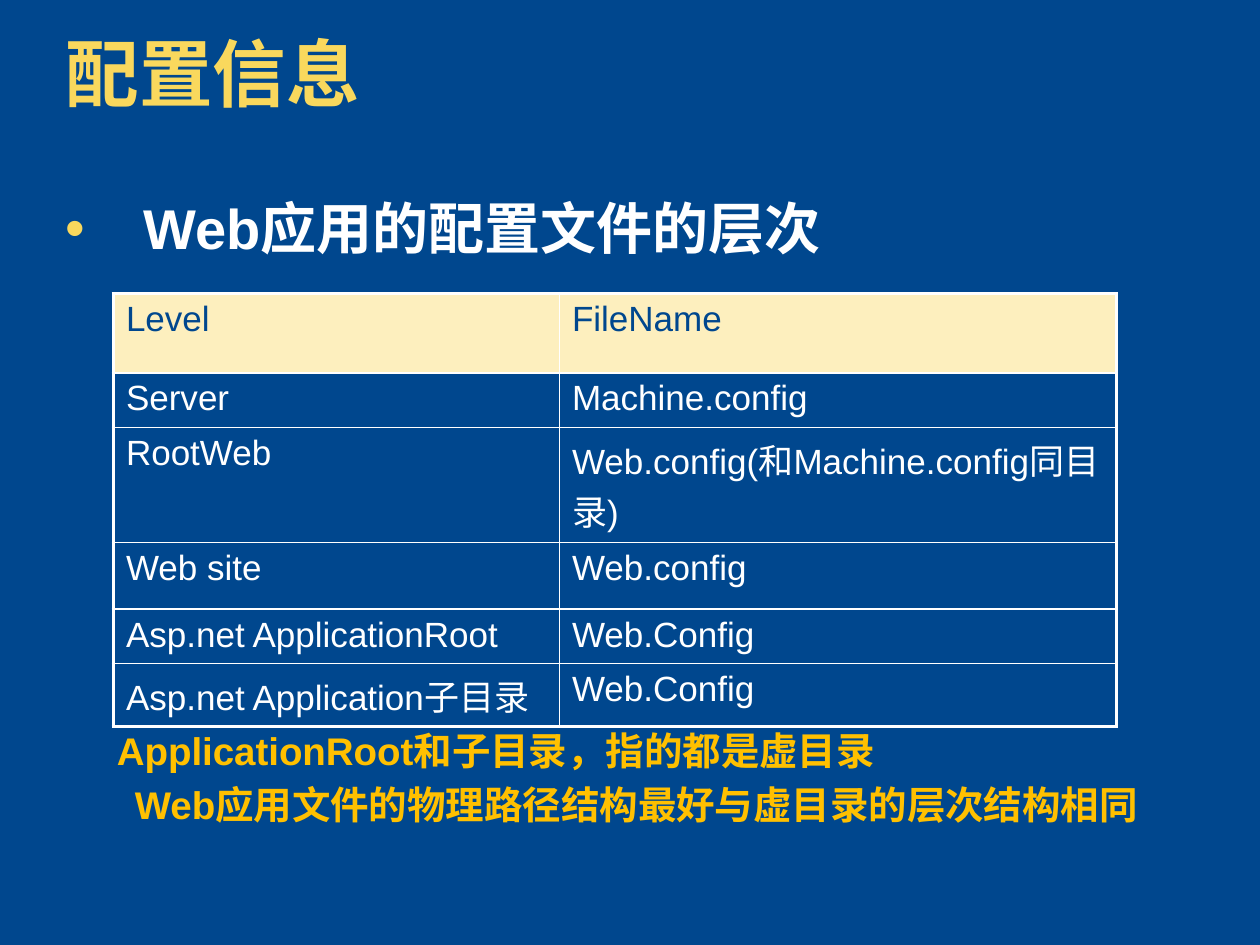
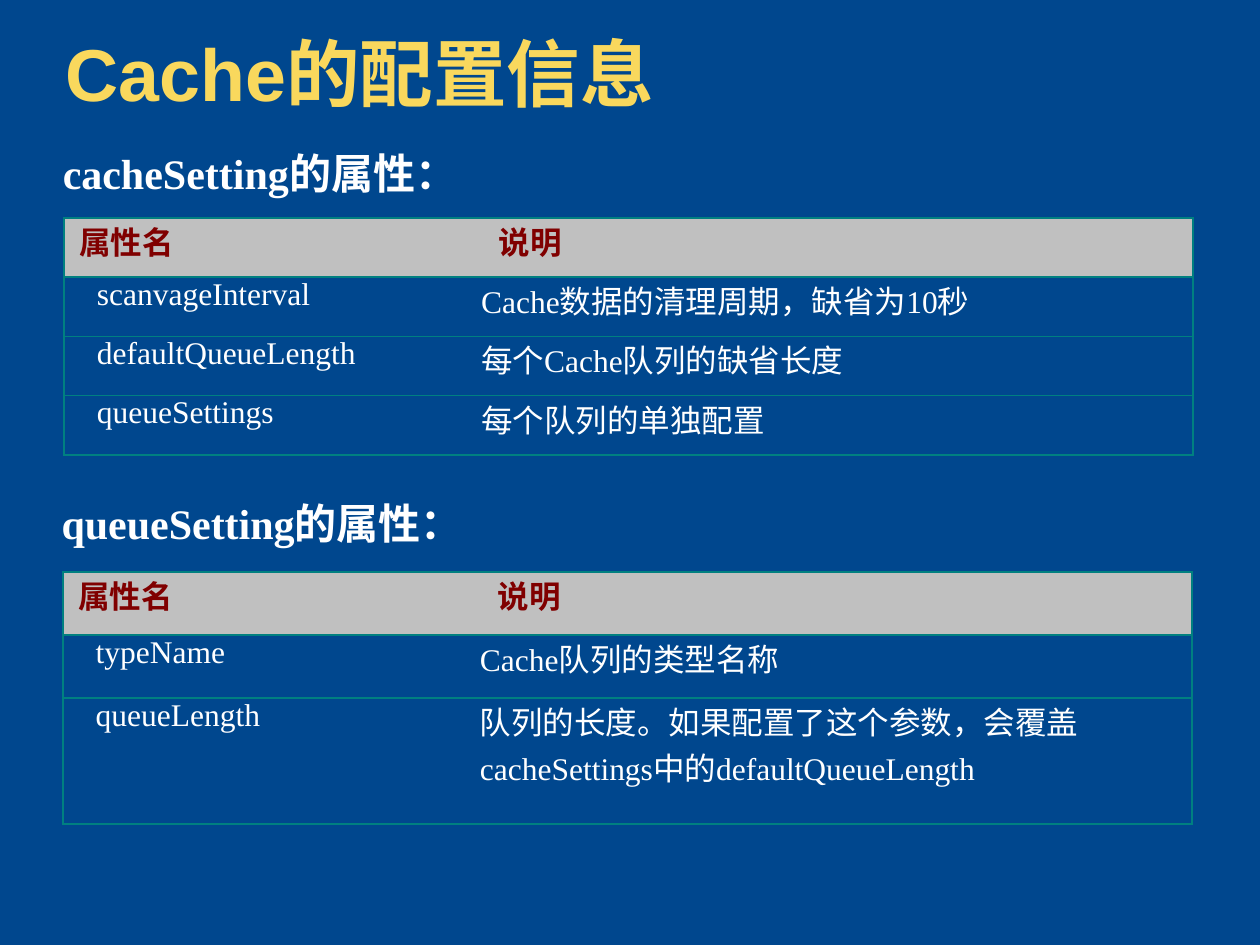
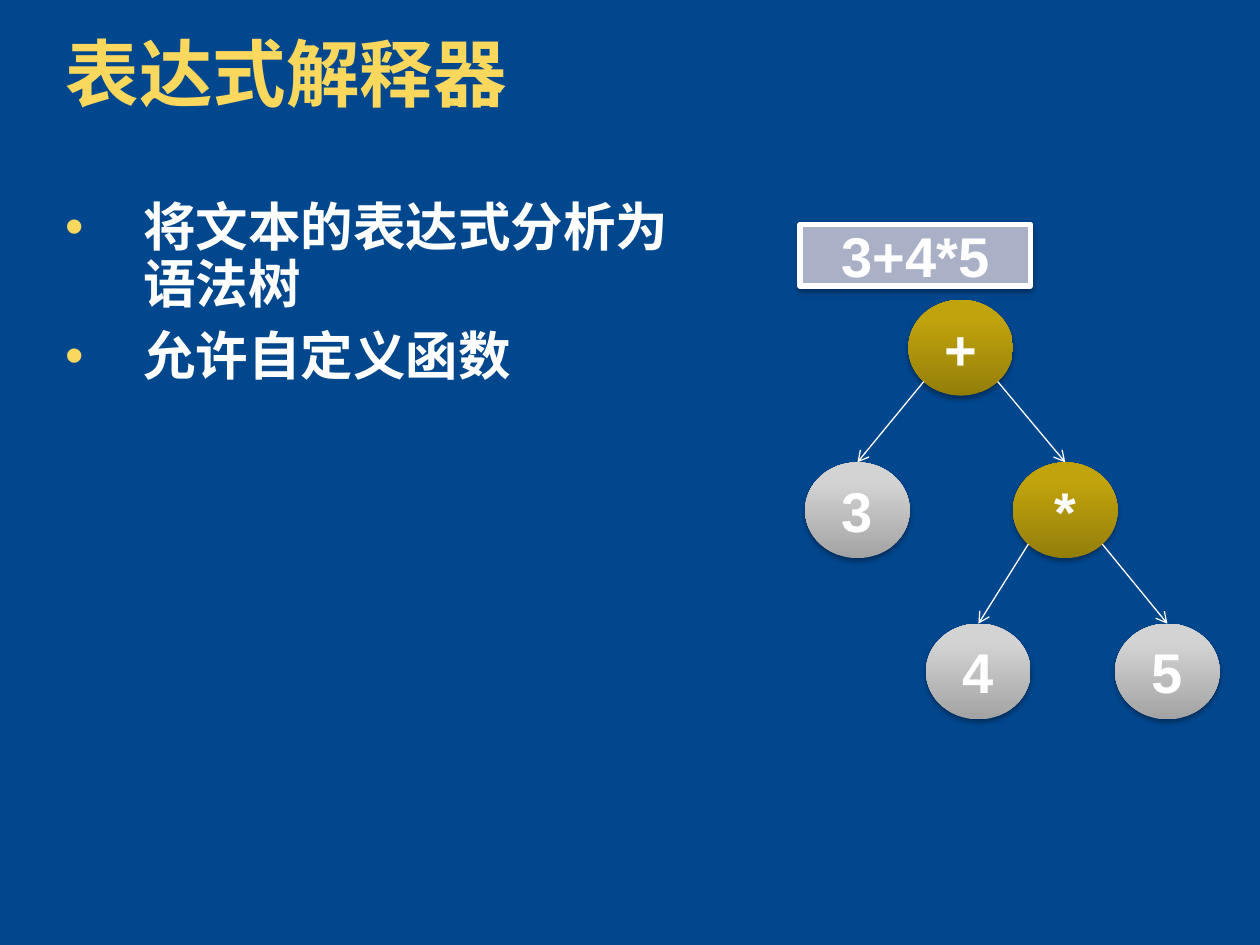
import math

import lxml.etree
import pptx
import pptx.dml.color
import pptx.enum.shapes
import pptx.enum.text
import pptx.oxml.ns
import pptx.util

Inches = pptx.util.Inches
Pt = pptx.util.Pt
qn = pptx.oxml.ns.qn
ALIGN = pptx.enum.text.PP_ALIGN
ANCHOR = pptx.enum.text.MSO_ANCHOR
SHAPE = pptx.enum.shapes.MSO_SHAPE

NAVY = "00478E"
YELLOW = "F9D85D"
WHITE = "FFFFFF"
CREAM = "FDEFBE"
AMBER = "FFC000"
TEAL = "008080"
SILVER = "C0C0C0"
MAROON = "800000"
GREY_BLUE = "AAB1C6"
OPERATOR = ("947E0A", "C0A30D")
OPERAND = ("A3A3A3", "D3D3D3")

SANS = "Arial"
SERIF = "Times New Roman"
NODE_WIDTH, NODE_HEIGHT = 0.83, 0.76


def rgb(value):
    return pptx.dml.color.RGBColor.from_string(value)


def add_xml(parent, tag, **attributes):
    return lxml.etree.SubElement(parent, qn(tag), attributes)


def format_paragraph(paragraph, size, color, bold=False, font=SANS, align=ALIGN.LEFT):
    paragraph.alignment = align
    for run in paragraph.runs:
        run.font.name = font
        run.font.size = Pt(size)
        run.font.bold = bold
        run.font.color.rgb = rgb(color)


def set_indent(paragraph, left, first):
    properties = paragraph._p.get_or_add_pPr()
    properties.set("marL", str(Inches(left)))
    properties.set("indent", str(Inches(first)))
    return properties


def add_titled_slide(deck, heading):
    slide = deck.slides.add_slide(deck.slide_layouts[5])
    title = slide.shapes.title
    title.left, title.top = Inches(0.42), Inches(0.25)
    title.width, title.height = Inches(8.21), Inches(0.74)
    frame = title.text_frame
    frame.text = heading
    frame.vertical_anchor = ANCHOR.TOP
    frame.auto_size = pptx.enum.text.MSO_AUTO_SIZE.NONE
    frame.paragraphs[0].line_spacing = 0.9
    format_paragraph(frame.paragraphs[0], 42, YELLOW, True)
    return slide


def add_text(slide, left, top, width, height, lines):
    frame = slide.shapes.add_textbox(
        Inches(left), Inches(top), Inches(width), Inches(height)).text_frame
    frame.word_wrap = True
    frame.text = "\n".join(lines)
    return frame


def add_bullets(slide, width, height, size, lines):
    frame = add_text(slide, 0.42, 1.55, width, height, lines)
    for index, paragraph in enumerate(frame.paragraphs):
        format_paragraph(paragraph, size, WHITE, True)
        paragraph.line_spacing = 0.9
        paragraph.space_before = Pt(9 if index else 0)
        properties = set_indent(paragraph, 0.62, -0.62)
        add_xml(add_xml(properties, "a:buClr"), "a:srgbClr", val=YELLOW)
        add_xml(properties, "a:buFont", typeface=SANS)
        add_xml(properties, "a:buChar", char="•")


def add_section_label(slide, left, top, text):
    frame = add_text(slide, left, top, 3.4, 0.5, [text])
    frame.vertical_anchor = ANCHOR.MIDDLE
    format_paragraph(frame.paragraphs[0], 24, WHITE, True, SERIF)


def set_border(cell, side, color, width):
    line = add_xml(cell._tc.get_or_add_tcPr(), "a:ln" + side, w=str(Pt(width)))
    if width:
        add_xml(add_xml(line, "a:solidFill"), "a:srgbClr", val=color)
    else:
        add_xml(line, "a:noFill")


def add_grid(slide, left, top, widths, heights, rows, header_fill, line_color,
             side_width, edge_width, divider_width, format_cell):
    table = slide.shapes.add_table(
        len(rows), len(widths), Inches(left), Inches(top),
        Inches(sum(widths)), Inches(sum(heights))).table
    table.first_row = False
    table.horz_banding = False
    for column, width in zip(table.columns, widths):
        column.width = Inches(width)
    for row, height in zip(table.rows, heights):
        row.height = Inches(height)
    last_row, last_column = len(rows) - 1, len(widths) - 1
    for r, texts in enumerate(rows):
        for c, text in enumerate(texts):
            cell = table.cell(r, c)
            cell.text = text
            format_cell(cell, r, c)
            set_border(cell, "L", line_color, side_width if c == 0 else divider_width)
            set_border(cell, "R", line_color, side_width if c == last_column else divider_width)
            set_border(cell, "T", line_color, edge_width if r == 0 else 1)
            set_border(cell, "B", line_color, edge_width if r == last_row else 1)
            if r == 0:
                cell.fill.solid()
                cell.fill.fore_color.rgb = rgb(header_fill)
            else:
                cell.fill.background()


def format_level_cell(cell, row, column):
    format_paragraph(cell.text_frame.paragraphs[0], 20, WHITE if row else NAVY)


def format_attribute_cell(cell, row, column):
    cell.margin_left = cell.margin_right = Inches(0.07)
    cell.margin_top = cell.margin_bottom = 0
    paragraph = cell.text_frame.paragraphs[0]
    align = ALIGN.LEFT if column else ALIGN.JUSTIFY
    format_paragraph(paragraph, 18, WHITE if row else MAROON, row == 0, SERIF, align)
    indented = (row == 0) == (column == 1)
    set_indent(paragraph, 0 if column else 0.05, 0.14 if indented else 0)


def add_attribute_table(slide, left, top, heights, attributes):
    add_grid(slide, left, top, [3.24, 5.72], heights, [("属性名", "说明")] + attributes,
             SILVER, TEAL, 1, 1.5, 0, format_attribute_cell)


def add_shadowed_shape(slide, preset, left, top, width, height, text):
    shape = slide.shapes.add_shape(
        preset, Inches(left), Inches(top), Inches(width), Inches(height))
    shape.shadow.inherit = False
    effects = shape._element.spPr.find(qn("a:effectLst"))
    shadow = add_xml(effects, "a:outerShdw", blurRad=str(Pt(3.1)), dist=str(Pt(1.8)),
                     dir="5400000", rotWithShape="0")
    add_xml(add_xml(shadow, "a:srgbClr", val="000000"), "a:alpha", val="35000")
    frame = shape.text_frame
    frame.text = text
    frame.word_wrap = False
    frame.vertical_anchor = ANCHOR.MIDDLE
    format_paragraph(frame.paragraphs[0], 32, WHITE, True, align=ALIGN.CENTER)
    return shape


def add_node(slide, left, top, text, shades):
    node = add_shadowed_shape(slide, SHAPE.FLOWCHART_CONNECTOR, left, top,
                              NODE_WIDTH, NODE_HEIGHT, text)
    node.line.fill.background()
    node.fill.gradient()
    node.fill.gradient_angle = 90
    for stop, shade, position in zip(node.fill.gradient_stops, shades, (0, 0.8)):
        stop.color.rgb = rgb(shade)
        stop.position = position


def add_branch(slide, parent, child):
    reach = math.sqrt(0.5) / 2
    side = 1 if child[0] > parent[0] else -1
    start_x = parent[0] + NODE_WIDTH * (0.5 + side * reach)
    start_y = parent[1] + NODE_HEIGHT * (0.5 + reach)
    branch = slide.shapes.add_connector(
        pptx.enum.shapes.MSO_CONNECTOR.STRAIGHT, Inches(start_x), Inches(start_y),
        Inches(child[0] + NODE_WIDTH / 2), Inches(child[1]))
    branch.line.color.rgb = rgb(WHITE)
    branch.line.width = Pt(0.75)
    add_xml(branch.line._get_or_add_ln(), "a:tailEnd", type="arrow")
    add_xml(branch._element.spPr, "a:effectLst")


def build_levels(deck):
    slide = add_titled_slide(deck, "配置信息")
    add_bullets(slide, 9.17, 0.59, 32, ["Web应用的配置文件的层次"])
    levels = [
        ("Level", "FileName"),
        ("Server", "Machine.config"),
        ("RootWeb", "Web.config(和Machine.config同目录)"),
        ("Web site", "Web.config"),
        ("Asp.net ApplicationRoot", "Web.Config"),
        ("Asp.net Application子目录", "Web.Config"),
    ]
    add_grid(slide, 0.9, 2.33, [3.54, 4.42], [0.63, 0.42, 0.91, 0.53, 0.43, 0.5],
             levels, CREAM, WHITE, 2.25, 2.25, 1, format_level_cell)
    remarks = add_text(slide, 0.83, 5.72, 8.44, 1.1, [
        "ApplicationRoot和子目录，指的都是虚目录",
        "Web应用文件的物理路径结构最好与虚目录的层次结构相同",
    ]).paragraphs
    format_paragraph(remarks[0], 22, AMBER, True)
    format_paragraph(remarks[1], 22, AMBER, True, align=ALIGN.CENTER)
    remarks[1].space_before = Pt(4.4)


def build_cache(deck):
    slide = add_titled_slide(deck, "Cache的配置信息")
    add_section_label(slide, 0.4, 1.12, "cacheSetting的属性：")
    add_attribute_table(slide, 0.51, 1.73, [0.47] * 4, [
        ("scanvageInterval", "Cache数据的清理周期，缺省为10秒"),
        ("defaultQueueLength", "每个Cache队列的缺省长度"),
        ("queueSettings", "每个队列的单独配置"),
    ])
    add_section_label(slide, 0.39, 3.9, "queueSetting的属性：")
    add_attribute_table(slide, 0.5, 4.54, [0.5, 0.5, 1], [
        ("typeName", "Cache队列的类型名称"),
        ("queueLength",
         "队列的长度。如果配置了这个参数，会覆盖cacheSettings中的defaultQueueLength"),
    ])


def build_expression(deck):
    slide = add_titled_slide(deck, "表达式解释器")
    add_bullets(slide, 5.28, 3, 30, ["将文本的表达式分析为语法树", "允许自定义函数"])
    nodes = {
        "+": (7.21, 2.38),
        "3": (6.39, 3.67),
        "*": (8.04, 3.67),
        "4": (7.35, 4.95),
        "5": (8.85, 4.95),
    }
    for symbol, (left, top) in nodes.items():
        add_node(slide, left, top, symbol, OPERAND if symbol.isdigit() else OPERATOR)
    for parent, child in ("+3", "+*", "*4", "*5"):
        add_branch(slide, nodes[parent], nodes[child])
    expression = add_shadowed_shape(slide, SHAPE.RECTANGLE, 6.35, 1.78, 1.83, 0.49, "3+4*5")
    expression.fill.solid()
    expression.fill.fore_color.rgb = rgb(GREY_BLUE)
    expression.line.color.rgb = rgb(WHITE)
    expression.line.width = Pt(3)


def main():
    deck = pptx.Presentation()
    deck.slide_width, deck.slide_height = Inches(10), Inches(7.5)
    background = deck.slide_master.background.fill
    background.solid()
    background.fore_color.rgb = rgb(NAVY)
    build_levels(deck)
    build_cache(deck)
    build_expression(deck)
    deck.save("out.pptx")


if __name__ == "__main__":
    main()
